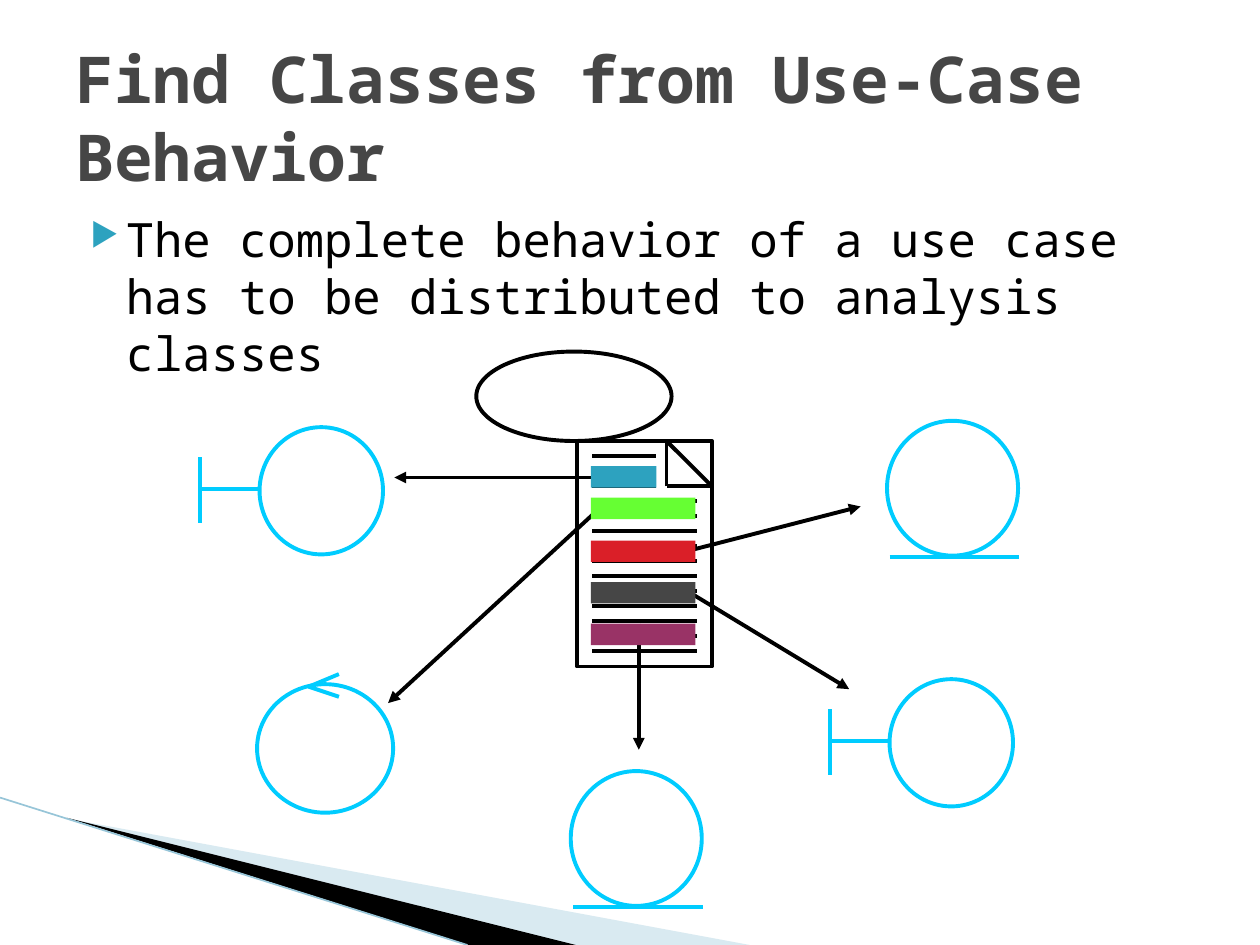
from dataclasses import dataclass

from lxml import etree
from pptx import Presentation
from pptx.dml.color import RGBColor
from pptx.enum.shapes import MSO_CONNECTOR, MSO_SHAPE
from pptx.enum.text import MSO_ANCHOR
from pptx.oxml.ns import qn
from pptx.util import Inches, Pt

STRAIGHT = MSO_CONNECTOR.STRAIGHT
OVAL, RECT = MSO_SHAPE.OVAL, MSO_SHAPE.RECTANGLE
MIDDLE, TOP = MSO_ANCHOR.MIDDLE, MSO_ANCHOR.TOP

WIDTH, HEIGHT = Inches(10), Inches(7.5)
COLUMNS, ROWS = 100, 75


@dataclass(frozen=True)
class Theme:
    font: str = "Noto Sans Mono"
    title_size: float = 36.9
    title_leading: float = 44.3
    body_size: float = 27
    body_leading: float = 32.6
    stroke: float = 2.25
    hairline: float = 0.95
    ink: str = "000000"
    title: str = "464646"
    accent: str = "2DA2BF"
    symbol: str = "00CCFF"
    wedge: str = "A0CBDC"
    edge: str = "97C5D8"
    passages: tuple = ("2DA2BF", "66FF33", "DA1F28", "464646", "993366")


THEME = Theme()


def col(n):
    return round(n * WIDTH / COLUMNS)


def row(n):
    return round(n * HEIGHT / ROWS)


def rgb(code):
    return RGBColor.from_string(code)


def add_sub(parent, tag, **attrs):
    return etree.SubElement(parent, qn(tag), attrs)


def add_line(slide, x1, y1, x2, y2, color=THEME.ink, width=THEME.stroke, arrow=False):
    line = slide.shapes.add_connector(STRAIGHT, col(x1), row(y1), col(x2), row(y2))
    line.line.color.rgb = rgb(color)
    line.line.width = Pt(width)
    if arrow:
        add_sub(line.line._get_or_add_ln(), "a:tailEnd", type="triangle")
    add_sub(line._element.spPr, "a:effectLst")


def add_outline(slide, kind, x, y, w, h, color=THEME.ink):
    sp = slide.shapes.add_shape(kind, col(x), row(y), col(w), row(h))
    sp.shadow.inherit = False
    sp.fill.background()
    sp.line.color.rgb = rgb(color)
    sp.line.width = Pt(THEME.stroke)


def add_bar(slide, x, y, w, h, color):
    sp = slide.shapes.add_shape(RECT, col(x), row(y), col(w), row(h))
    sp.shadow.inherit = False
    sp.fill.solid()
    sp.fill.fore_color.rgb = rgb(color)
    sp.line.fill.background()


def add_polygon(slide, points, color, alpha=None):
    start, *rest = [(col(x), row(y)) for x, y in points]
    builder = slide.shapes.build_freeform(*start)
    builder.add_line_segments(rest, close=True)
    sp = builder.convert_to_shape()
    sp.shadow.inherit = False
    sp.fill.solid()
    sp.fill.fore_color.rgb = rgb(color)
    sp.line.fill.background()
    if alpha is not None:
        clr = sp._element.spPr.find(qn("a:solidFill"))[0]
        add_sub(clr, "a:alpha", val=str(alpha * 1000))


def add_bullet(p):
    pPr = p._p.get_or_add_pPr()
    pPr.set("marL", str(Inches(0.4)))
    pPr.set("indent", str(Inches(-0.28)))
    add_sub(add_sub(pPr, "a:buClr"), "a:srgbClr", val=THEME.accent)
    add_sub(pPr, "a:buSzPct", val="68000")
    add_sub(pPr, "a:buChar", char="▶")


def add_text(slide, text, y, h, size, leading, color, anchor=TOP, bold=False, bullet=False):
    tf = slide.shapes.add_textbox(col(5), row(y), col(90), row(h)).text_frame
    tf.word_wrap = True
    tf.vertical_anchor = anchor
    p = tf.paragraphs[0]
    p.text = text
    if bullet:
        add_bullet(p)
    p.line_spacing = Pt(leading)
    p.font.name = THEME.font
    p.font.size = Pt(size)
    p.font.bold = bold
    p.font.color.rgb = rgb(color)


def add_corner_decoration(slide):
    add_polygon(slide, [(5.5, 65), (59.5, 75), (45.6, 75)], THEME.wedge, alpha=40)
    add_polygon(slide, [(5.3, 64.9), (45.7, 75), (37.2, 75)], THEME.ink)
    add_line(slide, 0, 63.3, 37.1, 75, THEME.edge, THEME.hairline)


def add_use_case_document(slide):
    """Use-case oval above a page with a folded corner and lines of text."""
    add_outline(slide, OVAL, 37.8, 27.9, 15.5, 7.1)
    add_outline(slide, RECT, 45.8, 35, 10.7, 17.9)
    fold = [(52.9, 35), (56.5, 38.6), (52.9, 38.6)]
    for start, end in zip(fold, fold[1:] + fold[:1]):
        add_line(slide, *start, *end)
    for i in range(14):
        y = 36.2 + 1.19 * i
        add_line(slide, 47, y, 52.1 if i < 3 else 55.3, y)


def add_arrows(slide):
    for ends in [
        (48.1, 37.9, 31.3, 37.9),
        (54.7, 43.7, 68.3, 40.2),
        (50.7, 49.5, 50.7, 59.5),
        (54.7, 47, 67.4, 54.7),
        (47.2, 40.7, 30.8, 55.8),
    ]:
        add_line(slide, *ends, arrow=True)


def add_passages(slide):
    """Coloured passages of the use-case text, one for each class."""
    tops = (37, 39.5, 42.9, 46.2, 49.5)
    for i, (y, color) in enumerate(zip(tops, THEME.passages)):
        add_bar(slide, 46.9, y, 8.3 if i else 5.2, 1.7, color)


def add_boundary(slide, x, y):
    add_outline(slide, OVAL, x, y, 9.8, 10.1, THEME.symbol)
    add_line(slide, x - 4.7, y + 2.4, x - 4.7, y + 7.6, THEME.symbol)
    add_line(slide, x - 4.7, y + 4.9, x, y + 4.9, THEME.symbol)


def add_entity(slide, x, y):
    add_outline(slide, OVAL, x, y, 10.4, 10.7, THEME.symbol)
    add_line(slide, x + 0.2, y + 10.8, x + 10.5, y + 10.8, THEME.symbol)


def add_control(slide, x, y):
    add_outline(slide, OVAL, x, y, 10.8, 10.2, THEME.symbol)
    for dy in (-0.8, 1):
        add_line(slide, x + 6.5, y + dy, x + 4.1, y + 0.2, THEME.symbol)


def main():
    prs = Presentation()
    prs.slide_width, prs.slide_height = WIDTH, HEIGHT
    slide = prs.slides.add_slide(prs.slide_layouts[6])
    add_corner_decoration(slide)
    add_text(slide, "The complete behavior of a use case has to be distributed to analysis classes",
             16.2, 49.5, THEME.body_size, THEME.body_leading, THEME.ink, bullet=True)
    add_text(slide, "Find Classes from Use-Case Behavior",
             3, 12.5, THEME.title_size, THEME.title_leading, THEME.title, MIDDLE, bold=True)
    add_use_case_document(slide)
    add_arrows(slide)
    add_passages(slide)
    add_entity(slide, 70.4, 33.4)
    add_control(slide, 20.4, 54.3)
    add_boundary(slide, 20.6, 33.9)
    add_entity(slide, 45.3, 61.2)
    add_boundary(slide, 70.6, 53.9)
    prs.save("out.pptx")


if __name__ == "__main__":
    main()
